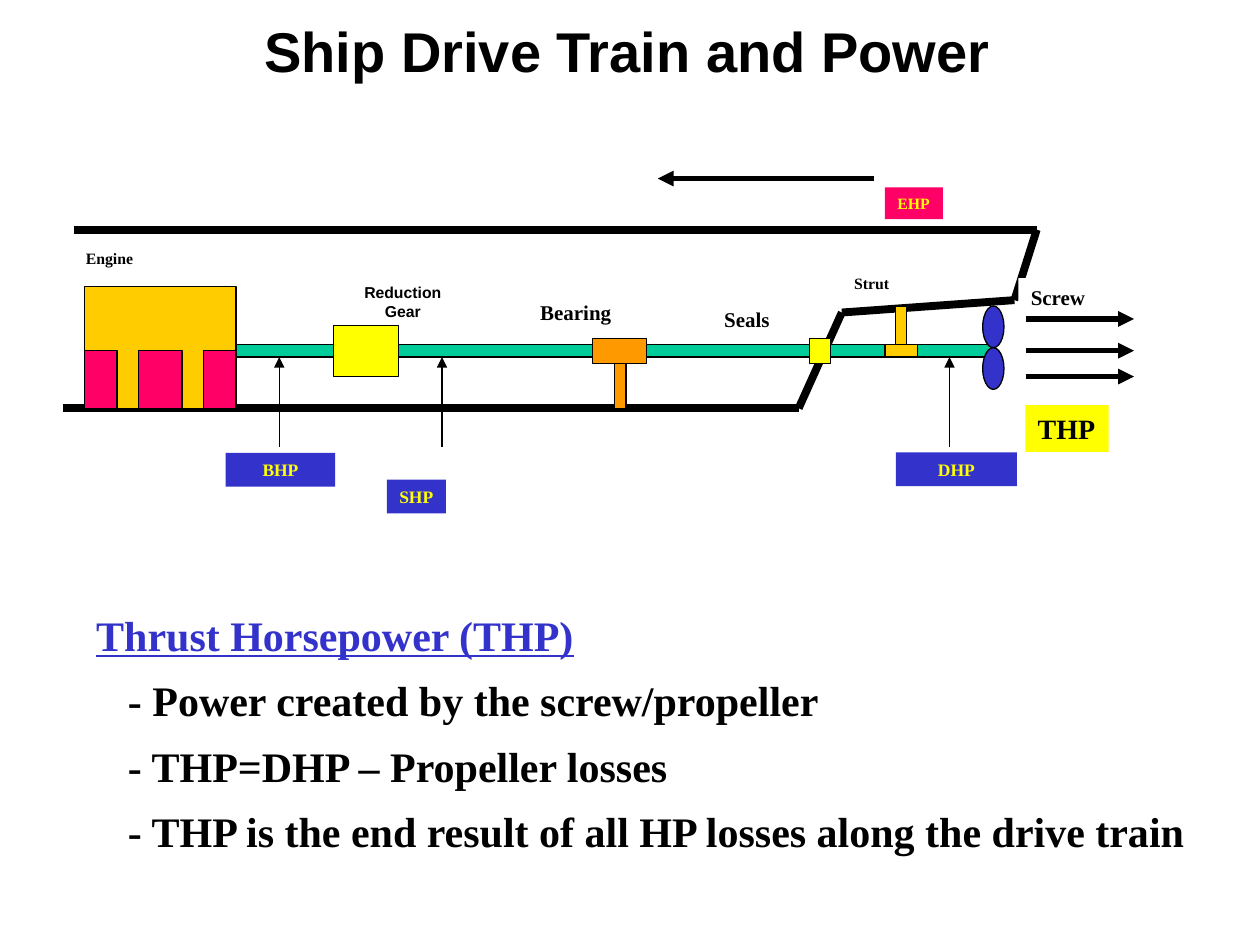
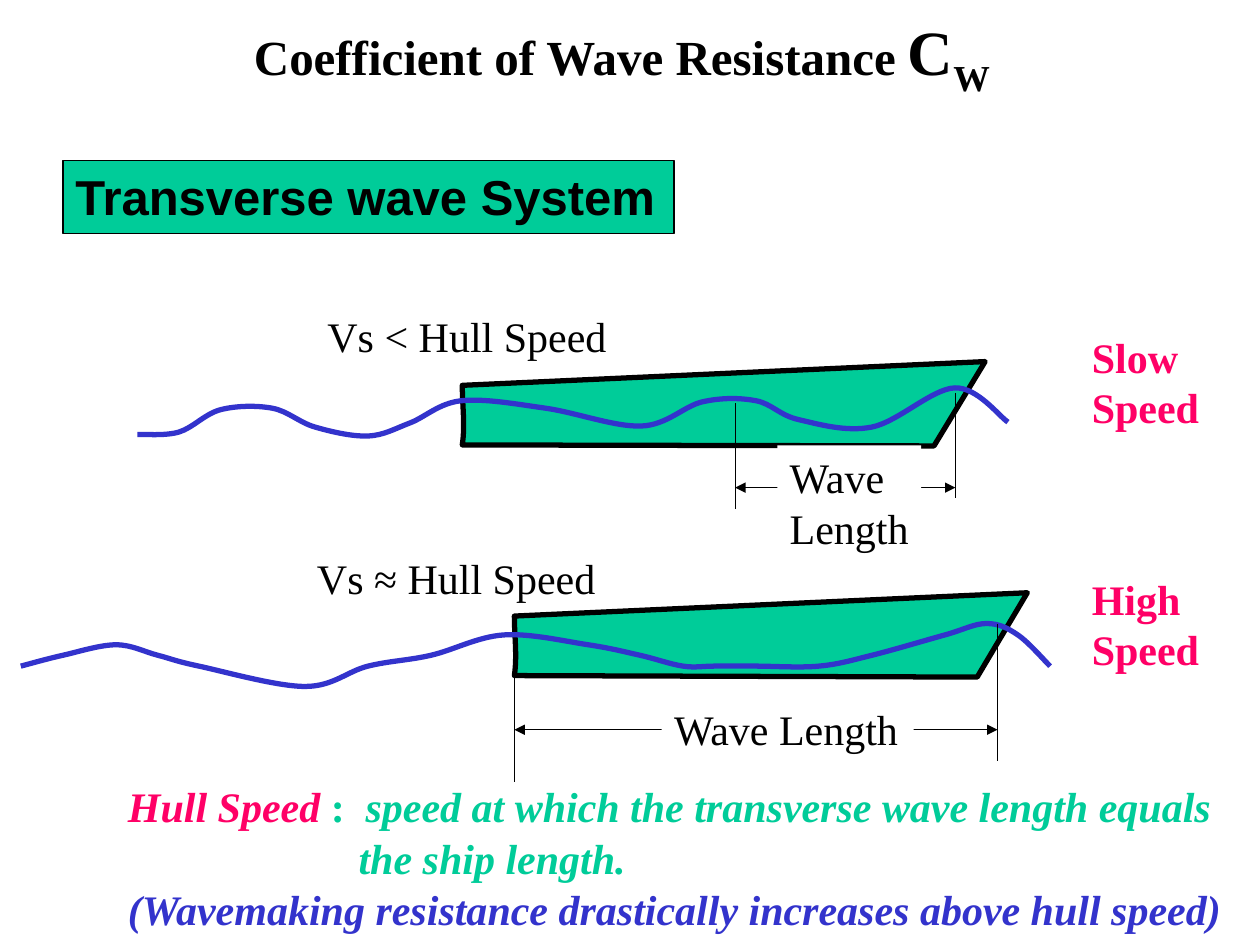
"""Build two slides on ship drive train power and wave resistance."""
from dataclasses import dataclass
from itertools import pairwise
from typing import NamedTuple, Optional

from pptx import Presentation
from pptx.dml.color import RGBColor
from pptx.enum.shapes import MSO_CONNECTOR, MSO_SHAPE as Preset
from pptx.enum.text import MSO_AUTO_SIZE, PP_ALIGN as Align
from pptx.oxml.ns import qn
from pptx.oxml.xmlchemy import OxmlElement
from pptx.util import Cm, Pt

BLACK = RGBColor(0, 0, 0)
WHITE = RGBColor(0xFF, 0xFF, 0xFF)
GOLD = RGBColor(0xFF, 0xCC, 0x00)
YELLOW = RGBColor(0xFF, 0xFF, 0x00)
ORANGE = RGBColor(0xFF, 0x99, 0x00)
GREEN = RGBColor(0x00, 0xCC, 0x99)
BLUE = RGBColor(0x33, 0x33, 0xCC)
PINK = RGBColor(0xFF, 0x00, 0x66)
SANS, SERIF = "Arial", "Times New Roman"
THIN, ARROW, HULL = 0.75, 3, 4.5


class Box(NamedTuple):
    """Left, top, width and height in centimetres."""
    x: float
    y: float
    w: float
    h: float


class Point(NamedTuple):
    """A position in centimetres."""
    x: float
    y: float


@dataclass(frozen=True)
class Part:
    """A filled, outlined piece of the drive train."""
    box: Box
    fill: RGBColor
    preset: Preset = Preset.RECTANGLE


@dataclass(frozen=True)
class Label:
    """A short text with its place and look."""
    text: str
    box: Box
    size: float
    color: RGBColor = BLACK
    fill: Optional[RGBColor] = None
    font: str = SERIF
    bold: bool = True
    align: Align = Align.LEFT
    wrap: bool = False


@dataclass(frozen=True)
class WaveCase:
    """A hull riding a wave, with its wave length marked."""
    hull: list
    wave: list
    crests: tuple
    span_y: float
    labels: list


def lengths(values):
    """Turn centimetre numbers into lengths."""
    return [Cm(v) for v in values]


def write(p, text: str, *, size=24, font=SERIF, color=BLACK, bold=True,
          italic=False, underline=False, baseline=0):
    """Append one formatted run to a paragraph."""
    r = p.add_run()
    r.text = text
    f = r.font
    f.size, f.name, f.bold, f.italic, f.underline = Pt(size), font, bold, italic, underline
    f.color.rgb = color
    if baseline:
        r._r.get_or_add_rPr().set("baseline", str(baseline * 1000))


def add_frame(s, box: Box, *, fill=None, line=None, wrap=False):
    """Add an empty text box and return its text frame."""
    sp = s.shapes.add_textbox(*lengths(box))
    if fill is not None:
        sp.fill.solid()
        sp.fill.fore_color.rgb = fill
    if line is not None:
        sp.line.color.rgb = line
        sp.line.width = Pt(THIN)
    tf = sp.text_frame
    tf.word_wrap = wrap
    tf.auto_size = MSO_AUTO_SIZE.SHAPE_TO_FIT_TEXT
    return tf


def next_paragraph(tf):
    """Return the empty first paragraph or a new one."""
    p = tf.paragraphs[0]
    return tf.add_paragraph() if p.runs else p


def indent(p, left: float):
    """Set the left margin of a paragraph."""
    p._p.get_or_add_pPr().set("marL", str(Cm(left)))


def add_tab_stop(p, pos: float):
    """Give a paragraph one left tab stop."""
    tabs, tab = OxmlElement("a:tabLst"), OxmlElement("a:tab")
    tab.set("pos", str(Cm(pos)))
    tab.set("algn", "l")
    tabs.append(tab)
    p._p.get_or_add_pPr().append(tabs)


def add_label(s, label: Label, line=None):
    """Draw a label, one paragraph for each line of its text."""
    tf = add_frame(s, label.box, fill=label.fill, line=line, wrap=label.wrap)
    for text in label.text.split("\n"):
        p = next_paragraph(tf)
        p.alignment = label.align
        write(p, text, size=label.size, font=label.font, color=label.color, bold=label.bold)


def paint(sp, fill, line: RGBColor, width: float):
    """Set the fill and outline of a shape and drop its shadow."""
    sp.shadow.inherit = False
    if fill is None:
        sp.fill.background()
    else:
        sp.fill.solid()
        sp.fill.fore_color.rgb = fill
    sp.line.color.rgb = line
    sp.line.width = Pt(width)


def add_part(s, part: Part):
    """Draw one drive train part."""
    paint(s.shapes.add_shape(part.preset, *lengths(part.box)), part.fill, BLACK, THIN)


def add_line(s, start: Point, end: Point, width=THIN, ends=()):
    """Draw a straight line with triangles at the named ends."""
    c = s.shapes.add_connector(MSO_CONNECTOR.STRAIGHT, *lengths((*start, *end)))
    c.line.color.rgb = BLACK
    c.line.width = Pt(width)
    for name in ends:
        tip = OxmlElement(f"a:{name}")
        tip.set("type", "triangle")
        c.line._get_or_add_ln().append(tip)
    c._element.spPr.append(OxmlElement("a:effectLst"))


def bend(segment, offset: Point, controls):
    """Replace a straight freeform segment by a cubic curve."""
    curve = OxmlElement("a:cubicBezTo")
    for control in controls:
        pt = OxmlElement("a:pt")
        for axis, value, shift in zip("xy", control, offset):
            pt.set(axis, str(Cm(value - shift)))
        curve.append(pt)
    segment.getparent().replace(segment, curve)


def add_outline(s, points: list, curves: list, *, fill=None, line=BLACK):
    """Draw a freeform, closed when filled, with its leading segments curved."""
    first, *rest = [lengths(pt) for pt in points]
    fb = s.shapes.build_freeform(*first)
    fb.add_line_segments(rest, close=fill is not None)
    sp = fb.convert_to_shape()
    offset = Point(*map(min, zip(*points)))
    for segment, controls in zip(list(sp._element.iter(qn("a:lnTo"))), curves):
        bend(segment, offset, controls)
    paint(sp, fill, line, 3)


def smooth(points: list) -> list:
    """Return the control points of a smooth curve through the points."""
    padded = [points[0], *points, points[-1]]
    return [(tuple(q + (r - o) / 6 for o, q, r in zip(a, b, c)),
             tuple(r - (u - q) / 6 for q, r, u in zip(b, c, d)), c)
            for a, b, c, d in zip(padded, padded[1:], padded[2:], padded[3:])]


HULL_LINE = [Point(1.5, 4.63), Point(20.9, 4.63), Point(20.45, 6.05),
             Point(16.97, 6.3), Point(16.1, 8.23), Point(1.27, 8.23)]
PARTS = [
    Part(Box(1.7, 5.78, 3.06, 2.45), GOLD),
    Part(Box(4.76, 6.95, 15.27, 0.25), GREEN),
    Part(Box(6.72, 6.56, 1.31, 1.03), YELLOW),
    Part(Box(16.32, 6.82, 0.43, 0.51), YELLOW),
    Part(Box(11.95, 6.82, 1.09, 0.51), ORANGE),
    Part(Box(18.05, 6.18, 0.23, 0.77), GOLD),
    Part(Box(17.84, 6.95, 0.66, 0.25), GOLD),
    Part(Box(12.39, 7.33, 0.23, 0.9), ORANGE),
    *(Part(Box(19.81, y, 0.43, 0.84), BLUE, Preset.OVAL) for y in (6.17, 7.01)),
    *(Part(Box(x, 7.07, w, 1.16), PINK) for x, w in ((1.7, 0.66), (2.79, 0.88), (4.1, 0.66))),
]
TRAIN_LABELS = [
    Label("Engine", Box(1.48, 4.88, 3.43, 0.64), 9, wrap=True),
    Label("Reduction\nGear", Box(7.09, 5.57, 2.06, 1.02), 9, font=SANS, align=Align.CENTER),
    Label("Bearing", Box(10.64, 5.92, 3.28, 0.76), 12, wrap=True),
    Label("Seals", Box(14.35, 6.05, 2.36, 0.76), 12, wrap=True),
    Label("Screw", Box(20.53, 5.61, 1.63, 0.76), 12, fill=WHITE),
    Label("Strut", Box(16.97, 5.4, 2.24, 0.64), 9, wrap=True),
    Label("BHP", Box(4.55, 9.13, 2.21, 0.68), 10, YELLOW, BLUE, align=Align.CENTER, wrap=True),
    Label("SHP", Box(7.8, 9.67, 1.19, 0.68), 10, YELLOW, BLUE),
    Label("DHP", Box(18.06, 9.12, 2.44, 0.68), 10, YELLOW, BLUE, align=Align.CENTER, wrap=True),
    Label("THP", Box(20.67, 8.17, 1.68, 0.94), 16, fill=YELLOW),
    Label("EHP", Box(17.84, 3.78, 1.17, 0.64), 9, YELLOW, PINK),
]
THP_POINTS = ["- Power created by the screw/propeller",
              "- THP=DHP – Propeller losses",
              "- THP is the end result of all HP losses along the drive train"]

SLOW = WaveCase(
    hull=[(9.32, 8.97), (9.32, 7.77), (19.86, 7.29), (18.83, 8.99)],
    wave=[(20.32, 8.51), (19.25, 7.82), (17.58, 8.61), (16.1, 8.46), (15.24, 8.08),
          (14.17, 8.1), (12.93, 8.59), (11, 8.23), (9.3, 8.08), (8.26, 8.53), (7.42, 8.79),
          (6.35, 8.61), (5.49, 8.23), (4.45, 8.26), (3.61, 8.71), (2.77, 8.76)],
    crests=((14.82, 8.13, 10.26), (19.26, 7.92, 10.03)),
    span_y=9.83,
    labels=[Label("Wave\nLength", Box(15.67, 8.98, 2.9, 2.29), 24, fill=WHITE, bold=False),
            Label("Slow\nSpeed", Box(21.76, 6.56, 2.67, 2.29), 24, PINK),
            Label("Vs < Hull Speed", Box(6.35, 6.14, 6.15, 1.27), 24, bold=False)])
FAST = WaveCase(
    hull=[(10.37, 13.62), (10.37, 12.42), (20.71, 11.95), (19.7, 13.65)],
    wave=[(21.17, 13.43), (20.52, 12.8), (19.89, 12.57), (19.05, 12.8), (17.58, 13.21),
          (16.51, 13.43), (15.24, 13.43), (14.4, 13.43), (13.77, 13.43), (12.9, 13.21),
          (11.86, 13), (10.16, 12.8), (8.69, 13.21), (7.42, 13.43), (6.15, 13.84),
          (4.01, 13.43), (3.18, 13.21), (2.34, 13), (1.27, 13.21), (0.42, 13.43)],
    crests=((10.37, 13.64, 15.76), (20.11, 12.57, 15.34)),
    span_y=14.71,
    labels=[Label("Wave Length", Box(13.34, 14.06, 5.08, 1.27), 24, fill=WHITE, bold=False),
            Label("High\nSpeed", Box(21.76, 11.43, 2.67, 2.29), 24, PINK),
            Label("Vs ≈ Hull Speed", Box(6.14, 11.01, 6.12, 1.27), 24, bold=False)])


def add_wave_case(s, case: WaveCase):
    """Draw a hull, its wave, the wave length marks and the labels."""
    (x, low), (_, high) = case.hull[:2]
    stern = ((x + 0.06, low - 0.41), (x, high + 0.41), (x, high))
    add_outline(s, case.hull, [stern], fill=GREEN)
    add_outline(s, case.wave, smooth(case.wave), line=BLUE)
    for x, top, bottom in case.crests:
        add_line(s, Point(x, top), Point(x, bottom))
    start, end = (Point(crest[0], case.span_y) for crest in case.crests)
    add_line(s, start, end, ends=("headEnd", "tailEnd"))
    for label in case.labels:
        add_label(s, label)


def build_drive_train(s):
    """Fill the drive train slide."""
    for start, end in pairwise(HULL_LINE):
        add_line(s, start, end, HULL)
    for part in PARTS:
        add_part(s, part)
    for label in TRAIN_LABELS:
        add_label(s, label)
    for x in (5.63, 8.91, 19.14):
        add_line(s, Point(x, 9.01), Point(x, 7.2), ends=("tailEnd",))
    for y in (6.43, 7.07, 7.59):
        add_line(s, Point(20.68, y), Point(22.86, y), ARROW, ("tailEnd",))
    add_line(s, Point(17.62, 3.6), Point(13.26, 3.6), ARROW, ("tailEnd",))
    tf = add_frame(s, Box(1.69, 11.85, 23.7, 5.54), wrap=True)
    write(next_paragraph(tf), "Thrust Horsepower (THP)", color=BLUE, underline=True)
    for text in THP_POINTS:
        p = next_paragraph(tf)
        indent(p, 0.64)
        write(p, text)
    for p in tf.paragraphs:
        p.line_spacing = 1.3
    add_label(s, Label("Ship Drive Train and Power", Box(5.08, 0.2, 15.16, 1.6), 32, font=SANS))


def build_wave_resistance(s):
    """Fill the wave resistance slide."""
    add_label(s, Label("Transverse wave System", Box(1.27, 3.24, 12.32, 1.47), 28,
                       fill=GREEN, font=SANS), line=BLACK)
    for case in (SLOW, FAST):
        add_wave_case(s, case)
    tf = add_frame(s, Box(2.33, 15.96, 23.06, 3.09), wrap=True)
    p = next_paragraph(tf)
    add_tab_stop(p, 4.79)
    write(p, "Hull Speed", color=PINK, italic=True)
    write(p, " :\t", color=GREEN)
    write(p, "speed at which the transverse wave length equals", color=GREEN, italic=True)
    p = next_paragraph(tf)
    indent(p, 4.65)
    write(p, "the ship length.", color=GREEN, italic=True)
    write(next_paragraph(tf), "(Wavemaking resistance drastically increases above hull speed)",
          color=BLUE, italic=True)
    for p in tf.paragraphs:
        p.line_spacing = 0.6
        p.space_before = Pt(12.4)
    p = next_paragraph(add_frame(s, Box(4.87, 0.13, 15.67, 1.78), wrap=True))
    write(p, "Coefficient of Wave Resistance ", size=28)
    write(p, "C", size=36)
    write(p, "W", size=36, baseline=-25)


def main():
    """Build and save the presentation."""
    prs = Presentation()
    prs.slide_width, prs.slide_height = Cm(25.4), Cm(19.05)
    for build in (build_drive_train, build_wave_resistance):
        build(prs.slides.add_slide(prs.slide_layouts[6]))
    prs.save("out.pptx")


if __name__ == "__main__":
    main()
